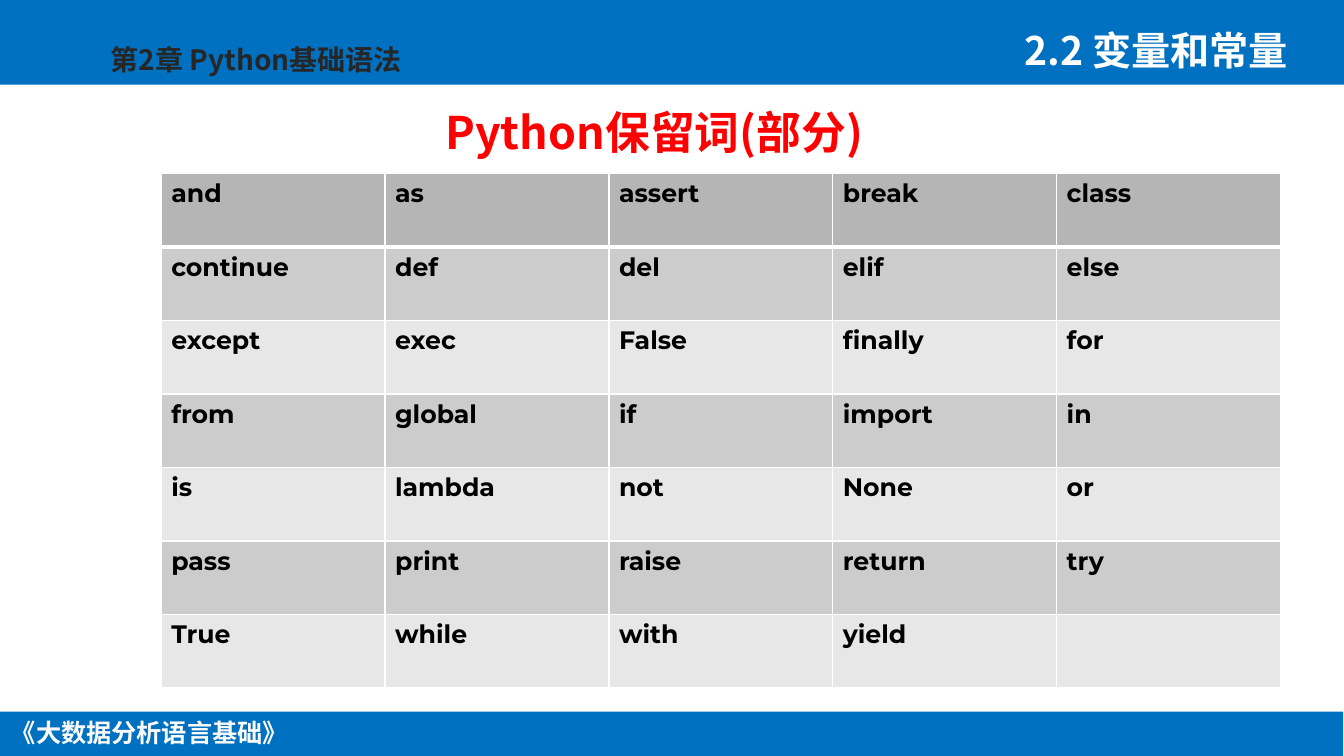
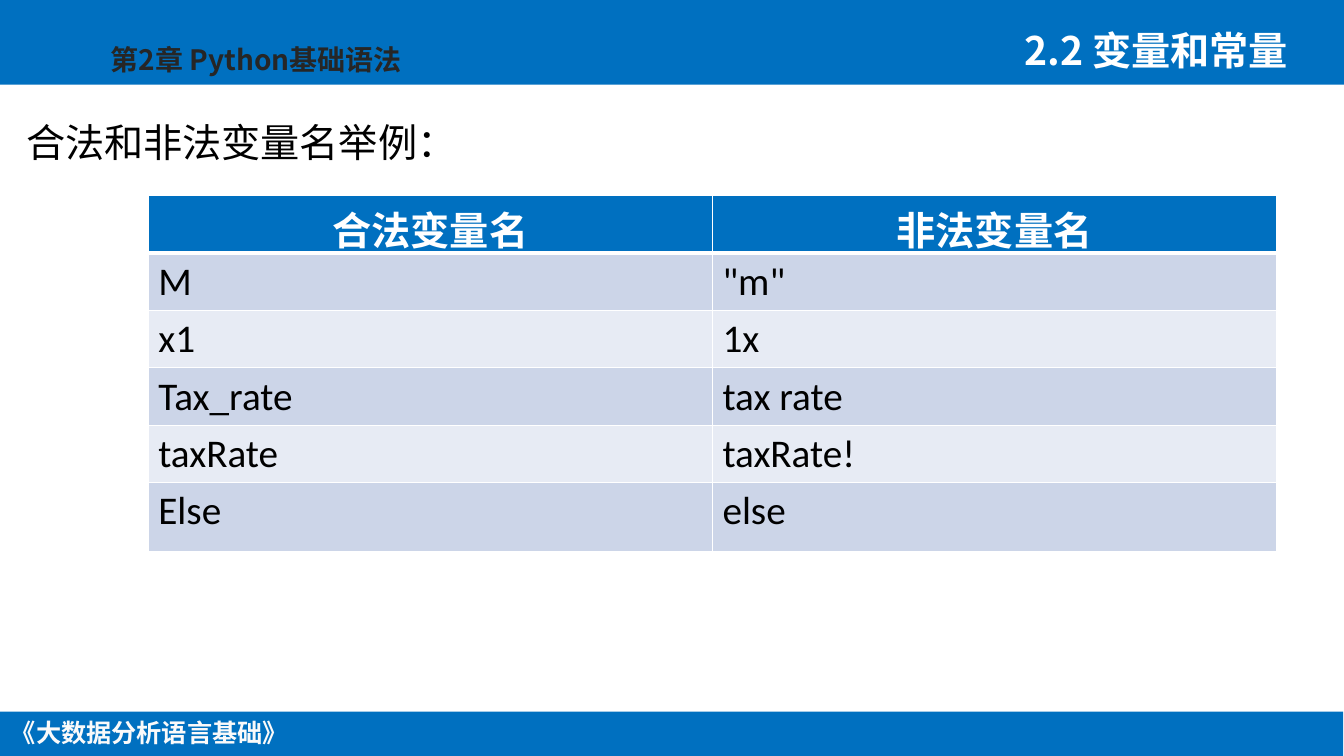
from lxml.etree import SubElement
from pptx import Presentation
from pptx.dml.color import RGBColor
from pptx.enum.shapes import MSO_SHAPE
from pptx.enum.text import MSO_ANCHOR, PP_ALIGN
from pptx.oxml.ns import qn
from pptx.util import Pt

HUES = {
    "blue": "0070C0", "white": "FFFFFF", "pale": "FAFAFA", "ink": "262626",
    "black": "000000", "red": "FF0000",
    "gray": "B5B5B5", "gray mid": "CCCCCC", "gray light": "E7E7E7",
    "blue mid": "CCD5E8", "blue light": "E7EBF4",
}
CJK = "Noto Sans CJK SC"

WORDS = """and as assert break class
continue def del elif else
except exec False finally for
from global if import in
is lambda not None or
pass print raise return try
True while with yield"""

NAMES = [
    ("合法变量名", "非法变量名"),
    ("M", '"m"'),
    ("x1", "1x"),
    ("Tax_rate", "tax rate"),
    ("taxRate", "taxRate!"),
    ("Else", "else"),
]


def paint(fill, hue):
    fill.solid()
    fill.fore_color.rgb = RGBColor.from_string(HUES[hue])


def stroke(node, tag, hue, width):
    line = SubElement(node, qn(tag), w=str(int(Pt(width))))
    solid = SubElement(line, qn("a:solidFill"))
    SubElement(solid, qn("a:srgbClr"), val=HUES[hue])


def write(frame, text, size=28, font=CJK, hue="black", bold=False,
          align=PP_ALIGN.LEFT, edge=None):
    para = frame.paragraphs[0]
    para.alignment = align
    run = para.add_run()
    run.text = text
    props = run.font._element
    if edge:
        stroke(props, "a:ln", edge, 1.06)
    run.font.size = Pt(size)
    run.font.bold = bold
    run.font.name = font
    paint(run.font.fill, hue)
    SubElement(props, qn("a:ea"), typeface=CJK)


class Deck:
    """Holds the lecture style and the current slide."""

    def __init__(self):
        self.file = Presentation()
        self.file.slide_width, self.file.slide_height = Pt(960.48), Pt(540)
        self.slide = None

    def start(self):
        self.slide = self.file.slides.add_slide(self.file.slide_layouts[6])
        self.band(0, 0, 960.48, 60.5)
        self.band(-0.5, 508.3, 960.48, 32)
        self.text("《大数据分析语言基础》", -0.5, 509, 214.5, 29, wrap=False,
                  size=18, hue="pale", bold=True, align=PP_ALIGN.CENTER)
        self.text("第2章 Python基础语法", 72, 26.6, 272, 31.5,
                  size=20, hue="ink", bold=True, edge="white")
        self.text("2.2 变量和常量", 725, 15.1, 234.7, 41,
                  hue="white", bold=True)

    def band(self, left, top, width, height):
        shape = self.slide.shapes.add_shape(
            MSO_SHAPE.RECTANGLE, Pt(left), Pt(top), Pt(width), Pt(height))
        shape.shadow.inherit = False
        paint(shape.fill, "blue")
        shape.line.fill.background()

    def text(self, text, left, top, width, height, wrap=True,
             anchor=MSO_ANCHOR.TOP, **fmt):
        box = self.slide.shapes.add_textbox(
            Pt(left), Pt(top), Pt(width), Pt(height))
        frame = box.text_frame
        frame.word_wrap = wrap
        frame.vertical_anchor = anchor
        write(frame, text, **fmt)

    def title(self, text, left, top, width, height, **fmt):
        self.text(text, left, top, width, height,
                  anchor=MSO_ANCHOR.MIDDLE, **fmt)

    def table(self, rows, left, top, wide, highs, fills, head, body):
        count = len(rows[0])
        table = self.slide.shapes.add_table(
            len(rows), count, Pt(left), Pt(top),
            Pt(wide * count), Pt(sum(highs))).table
        table.horz_banding = False
        for col in table.columns:
            col.width = Pt(wide)
        for i, (row, high) in enumerate(zip(rows, highs)):
            table.rows[i].height = Pt(high)
            hue = fills[0] if i == 0 else fills[2 - i % 2]
            for j in range(count):
                cell = table.cell(i, j)
                self.frame(cell, i)
                paint(cell.fill, hue)
                if j < len(row):
                    write(cell.text_frame, row[j], **(body if i else head))

    def frame(self, cell, i):
        props = cell._tc.get_or_add_tcPr()
        widths = {"L": 1, "R": 1, "T": 3 if i == 1 else 1,
                  "B": 3 if i == 0 else 1}
        for side, width in widths.items():
            stroke(props, "a:ln" + side, "white", width)


def main():
    deck = Deck()

    deck.start()
    deck.title("Python保留词(部分)", 131.8, 71.3, 671.8, 45.4,
               size=32, hue="red", bold=True, align=PP_ALIGN.CENTER)
    word = dict(size=18, font="Montserrat", bold=True)
    deck.table([line.split() for line in WORDS.splitlines()],
               115.2, 124, 160, [52.5] * 7,
               ("gray", "gray mid", "gray light"), word, word)

    deck.start()
    deck.title("合法和非法变量名举例：", 11.5, 77, 828.7, 49)
    name = dict(font="Calibri")
    head = dict(name, hue="white", bold=True, align=PP_ALIGN.CENTER)
    deck.table(NAMES, 106, 139.7, 403.2, [41] * 5 + [49.5],
               ("blue", "blue mid", "blue light"), head, name)

    deck.file.save("out.pptx")


if __name__ == "__main__":
    main()
